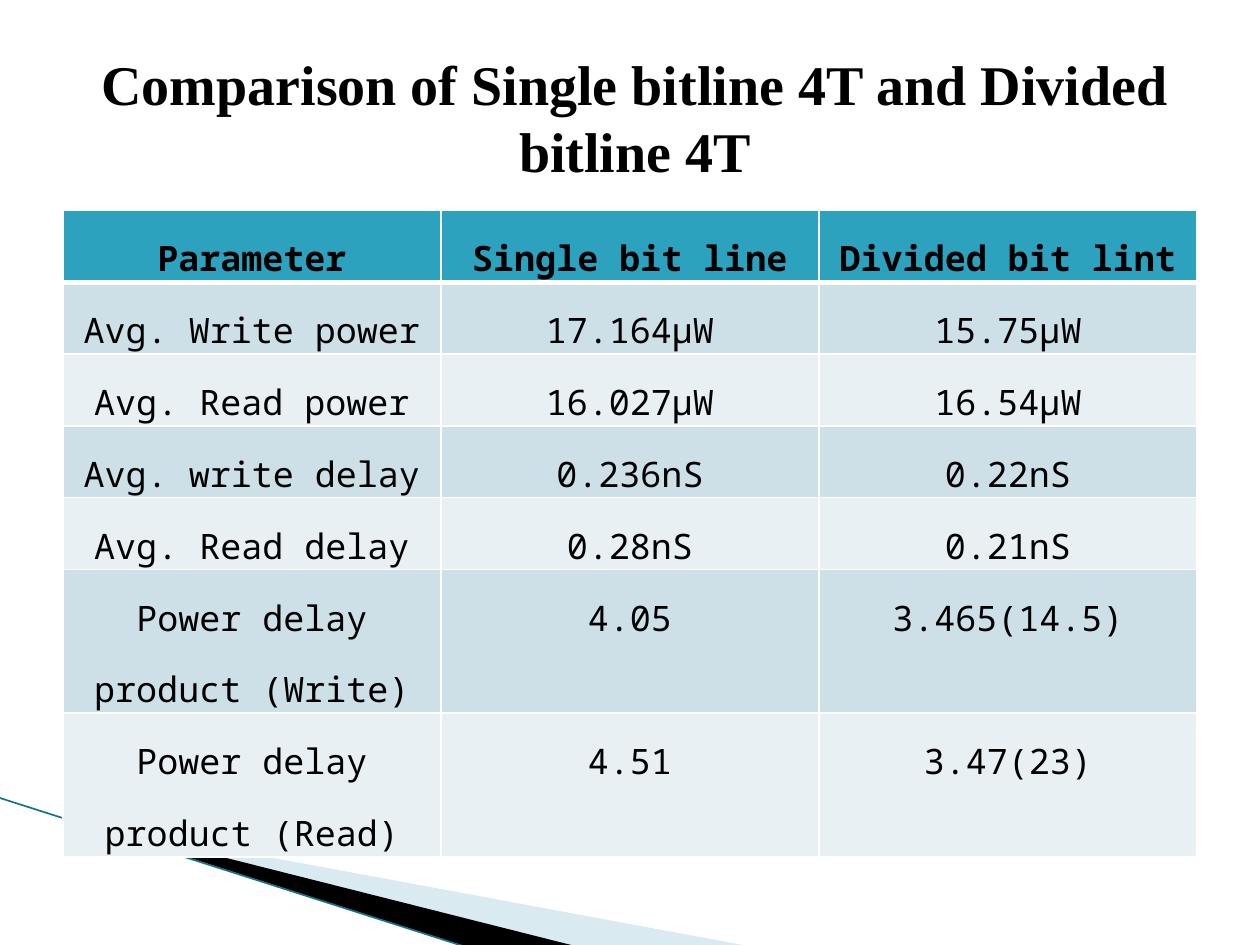
from lxml import etree
from pptx import Presentation
from pptx.dml.color import RGBColor
from pptx.enum.shapes import MSO_CONNECTOR
from pptx.enum.text import MSO_ANCHOR, PP_ALIGN
from pptx.oxml.ns import qn
from pptx.util import Pt

CENTER = PP_ALIGN.CENTER
MIDDLE = MSO_ANCHOR.MIDDLE
TOP = MSO_ANCHOR.TOP
STRAIGHT = MSO_CONNECTOR.STRAIGHT

BLACK = RGBColor(0x00, 0x00, 0x00)
WHITE = RGBColor(0xFF, 0xFF, 0xFF)
HEADER = RGBColor(0x2D, 0xA2, 0xBF)
BAND_DARK = RGBColor(0xCD, 0xE0, 0xE8)
BAND_LIGHT = RGBColor(0xE8, 0xF0, 0xF4)
SWOOSH = RGBColor(0xA0, 0xCB, 0xDC)
EDGE = RGBColor(0x16, 0x74, 0x8A)

TITLE = "Comparison of Single bitline 4T and Divided bitline 4T"
ROWS = [
    ("Parameter", "Single bit line", "Divided bit lint"),
    ("Avg. Write power", "17.164µW", "15.75µW"),
    ("Avg. Read power", "16.027µW", "16.54µW"),
    ("Avg. write delay", "0.236nS", "0.22nS"),
    ("Avg. Read delay", "0.28nS", "0.21nS"),
    ("Power delay product (Write)", "4.05", "3.465(14.5)"),
    ("Power delay product (Read)", "4.51", "3.47(23)"),
]
COLUMN_WIDTH = 216
SINGLE_ROW, DOUBLE_ROW = 36.72, 76.32
ROW_HEIGHTS = [SINGLE_ROW] * 5 + [DOUBLE_ROW] * 2


def write_text(frame, text, *, font, size, bold=False, spacing=None):
    frame.word_wrap = True
    paragraph = frame.paragraphs[0]
    paragraph.alignment = CENTER
    if spacing:
        paragraph.line_spacing = spacing
    run = paragraph.add_run()
    run.text = text
    run.font.name = font
    run.font.size = Pt(size)
    run.font.bold = bold
    run.font.color.rgb = BLACK


def add_wedge(slide, points, color, opacity=100):
    start, *rest = [(Pt(x), Pt(y)) for x, y in points]
    builder = slide.shapes.build_freeform(*start)
    builder.add_line_segments(rest, close=True)
    wedge = builder.convert_to_shape()
    wedge.shadow.inherit = False
    wedge.line.fill.background()
    wedge.fill.solid()
    wedge.fill.fore_color.rgb = color
    if opacity < 100:
        rgb = wedge.fill._xPr.find(f".//{qn('a:srgbClr')}")
        etree.SubElement(rgb, qn("a:alpha"), val=str(opacity * 1000))


def add_edge_line(slide, start, end):
    edge = slide.shapes.add_connector(STRAIGHT, *map(Pt, start + end))
    edge.line.color.rgb = EDGE
    edge.line.width = Pt(0.95)
    etree.SubElement(edge._element.spPr, qn("a:effectLst"))


def set_borders(cell, widths):
    """Draw white borders; widths run left, right, top, bottom."""
    properties = cell._tc.get_or_add_tcPr()
    for position, (side, width) in enumerate(zip("LRTB", widths)):
        border = etree.Element(qn(f"a:ln{side}"), w=str(Pt(width)))
        fill = etree.SubElement(border, qn("a:solidFill"))
        etree.SubElement(fill, qn("a:srgbClr"), val=str(WHITE))
        properties.insert(position, border)


def format_cell(cell, text, row):
    is_header = row == 0
    cell.margin_left = cell.margin_right = Pt(5)
    cell.margin_top = cell.margin_bottom = 0
    cell.vertical_anchor = TOP
    cell.fill.solid()
    cell.fill.fore_color.rgb = (
        HEADER if is_header else BAND_DARK if row % 2 else BAND_LIGHT
    )
    set_borders(cell, (1, 1, 3 if row == 1 else 1, 3 if is_header else 1))
    write_text(cell.text_frame, text, font="Noto Sans Mono", size=20,
               bold=is_header, spacing=1.5)


def add_comparison_table(slide):
    columns = len(ROWS[0])
    table = slide.shapes.add_table(
        len(ROWS), columns, Pt(36), Pt(120.24),
        Pt(COLUMN_WIDTH * columns), Pt(sum(ROW_HEIGHTS)),
    ).table
    for column in table.columns:
        column.width = Pt(COLUMN_WIDTH)
    for row, (height, texts) in enumerate(zip(ROW_HEIGHTS, ROWS)):
        table.rows[row].height = Pt(height)
        for column, text in enumerate(texts):
            format_cell(table.cell(row, column), text, row)


def format_title(slide):
    title = slide.shapes.title
    title.left, title.top = Pt(18), Pt(21.6)
    title.width, title.height = Pt(690), Pt(90)
    title.text_frame.vertical_anchor = MIDDLE
    write_text(title.text_frame, TITLE, font="Times New Roman", size=32,
               bold=True)


def main():
    deck = Presentation()
    deck.slide_width, deck.slide_height = Pt(720), Pt(540)
    slide = deck.slides.add_slide(deck.slide_layouts[5])
    add_wedge(slide, [(39.6, 468.7), (428.4, 540.7), (328.3, 540.7),
                      (39.6, 468)], SWOOSH, opacity=40)
    add_wedge(slide, [(38.2, 467.3), (329, 540.7), (267.8, 541.4),
                      (38.9, 468)], BLACK)
    add_edge_line(slide, (-0.7, 455.8), (267.1, 541.4))
    add_comparison_table(slide)
    format_title(slide)
    deck.save("out.pptx")


if __name__ == "__main__":
    main()
